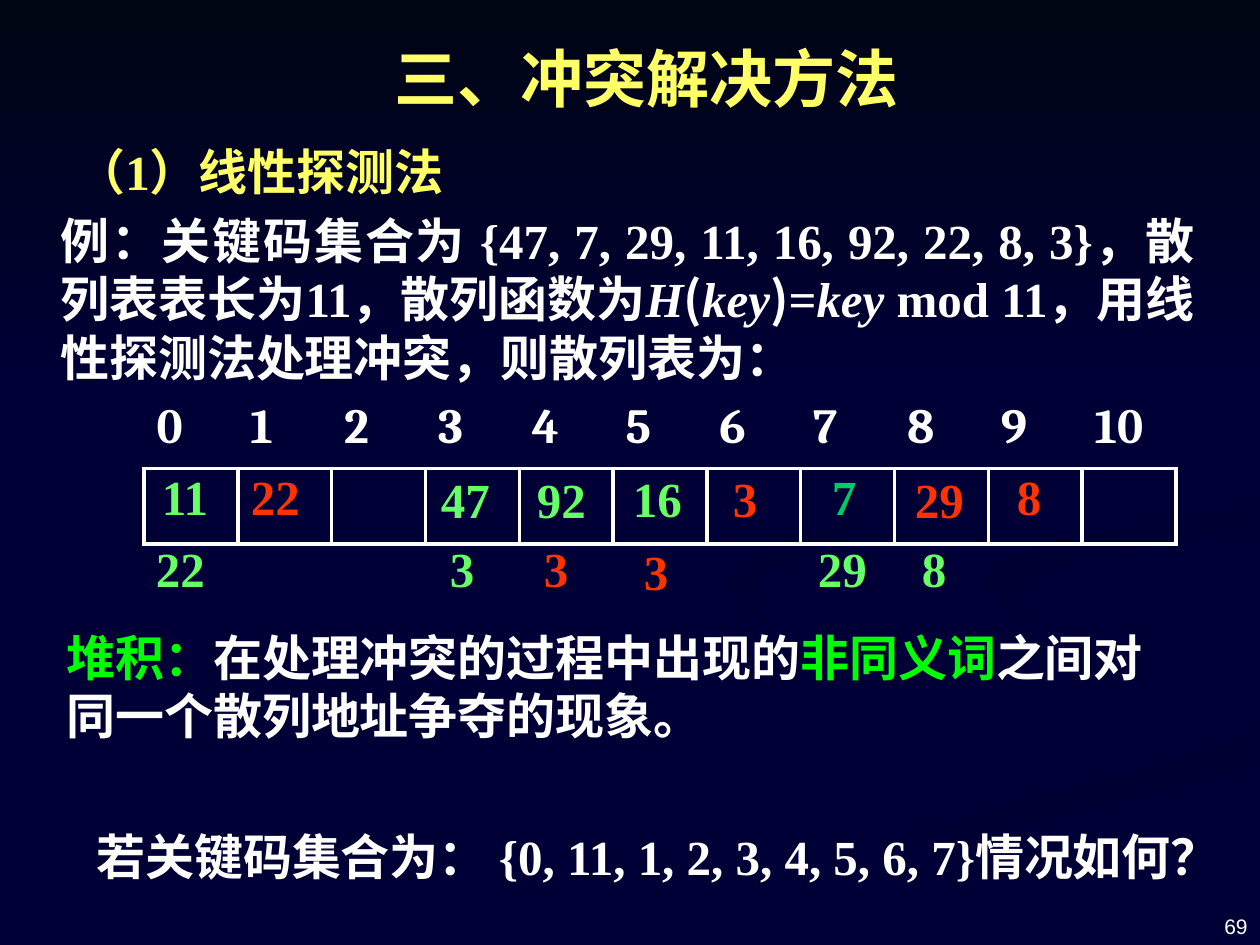
from pptx import Presentation
from pptx.dml.color import RGBColor as RGB
from pptx.enum.shapes import MSO_SHAPE as SHAPE
from pptx.enum.text import MSO_ANCHOR as ANCHOR, PP_ALIGN as ALIGN
from pptx.oxml.ns import qn
from pptx.util import Emu, Pt
from lxml.etree import SubElement

PX = 914400 // 126
SERIF, SANS, CJK = "Times New Roman", "Arial", "Noto Sans CJK SC"
C = dict(bg="000036", dark="000514", wave="000032", wave_low="000034",
         wave_mid="000033", white="FFFFFF", yellow="FFFF66", green="66FF66",
         teal="00CC66", red="FF3300", lime="00FF00")
NO_STYLE = "{2D5ABB26-0587-4C30-8999-92F81FD0307C}"

# Outline points, start colour, end colour, clockwise angle
WAVES = [
    ([(984, 697), (901, 665), (809, 639), (748, 611), (725, 587), (725, 578),
      (718, 592), (738, 614), (795, 636), (900, 668), (978, 697), (990, 713),
      (966, 740), (881, 767), (730, 805), (577, 849), (474, 891), (378, 944),
      (455, 944), (587, 882), (748, 827), (908, 785), (990, 757), (1008, 732),
      (998, 707)], "bg", "wave_low", 0),
    ([(1188, 718), (1158, 689), (1071, 660), (975, 634), (924, 609),
      (912, 585), (924, 615), (965, 645), (1056, 675), (1134, 702),
      (1157, 732), (1126, 762), (1166, 747), (1186, 732)],
     "bg", "wave_low", 45),
    ([(634, 944), (719, 944), (774, 915), (876, 872), (1034, 820),
      (1257, 767), (1257, 732), (1179, 759), (1047, 793), (877, 843),
      (755, 890), (654, 941)], "wave", "bg", 90),
    ([(984, 580), (997, 602), (1041, 625), (1014, 600), (1028, 578),
      (1082, 558), (1179, 541), (1257, 529), (1257, 507), (1131, 527),
      (1052, 542), (997, 563)], "wave_mid", "bg", 45),
    ([(861, 542), (963, 525), (1060, 499), (1113, 466), (1126, 433),
      (1109, 387), (1062, 347), (960, 294), (1041, 335), (1104, 386),
      (1120, 422), (1096, 460), (1031, 486), (852, 522), (762, 546),
      (727, 582), (751, 615), (784, 630), (748, 599), (764, 570)],
     "wave", "bg", 45),
]

# Text, left and top relative to the table, colour
KEYS = [
    ("11", 18, 74, "green"), ("22", 107, 74, "red"), ("47", 297, 77, "green"),
    ("92", 393, 77, "green"), ("16", 489, 76, "green"), ("3", 589, 76, "red"),
    ("7", 688, 74, "teal"), ("29", 771, 77, "red"), ("8", 873, 74, "red"),
    ("22", 12, 146, "green"), ("3", 306, 146, "green"), ("3", 400, 146, "red"),
    ("3", 500, 149, "red"), ("29", 674, 146, "green"), ("8", 778, 146, "green"),
]


def px(*values):
    """Turn pixels into EMU."""
    return [Emu(round(v * PX)) for v in values]


def add_run(p, text, size=28, color="white", font=SERIF, bold=True, italic=False):
    """Add one formatted run to a paragraph."""
    r = p.add_run()
    r.text = text
    r.font.size, r.font.name = Pt(size), font
    r.font.bold, r.font.italic = bold, italic
    r.font.color.rgb = RGB.from_string(C[color])
    SubElement(r.font._element, qn("a:ea")).set("typeface", CJK)


def add_text(s, box, runs, align=ALIGN.LEFT, anchor=ANCHOR.TOP, wrap=True,
             inset=True, spacing=None, **fmt):
    """Add a text box; runs is a string or a list of (text, format) pairs."""
    tf = s.shapes.add_textbox(*px(*box)).text_frame
    tf.word_wrap, tf.vertical_anchor = wrap, anchor
    if not inset:
        tf.margin_left = tf.margin_right = tf.margin_top = tf.margin_bottom = 0
    p = tf.paragraphs[0]
    p.alignment, p.line_spacing = align, spacing
    for text, own in [(runs, {})] if isinstance(runs, str) else runs:
        add_run(p, text, **{**fmt, **own})


def paint(sp, start, end, angle):
    """Give a shape a plain two-colour gradient."""
    sp.shadow.inherit = False
    sp.line.fill.background()
    sp.fill.gradient()
    sp.fill.gradient_angle = -angle % 360
    for stop, color in zip(sp.fill.gradient_stops, (start, end)):
        stop.color.rgb = RGB.from_string(C[color])


def draw_background(s, w, h):
    """Fill the slide, with faint waves and a dark upper band."""
    s.background.fill.solid()
    s.background.fill.fore_color.rgb = RGB.from_string(C["bg"])
    for points, *colors in WAVES:
        builder = s.shapes.build_freeform(*points[0], scale=PX)
        builder.add_line_segments(points[1:], close=True)
        paint(builder.convert_to_shape(), *colors)
    band = s.shapes.add_shape(SHAPE.RECTANGLE, *px(0, 0, w, h))
    paint(band, "dark", "bg", 90)


def add_border(cell, sides):
    """Draw white lines on the given sides of a cell."""
    pr = cell._tc.get_or_add_tcPr()
    for i, side in enumerate(sides):
        ln = pr.makeelement(qn(f"a:ln{side}"), {"w": str(Pt(2.25))})
        SubElement(SubElement(ln, qn("a:solidFill")), qn("a:srgbClr")).set("val", C["white"])
        pr.insert(i, ln)


def draw_hash_table(s, x, y, w, h, slots=11):
    """Place the slot numbers, the table cells and the keys on them."""
    table = s.shapes.add_table(2, slots, *px(x, y, w, h)).table
    table.first_row = table.horz_banding = False
    table._tbl.tblPr.find(qn("a:tableStyleId")).text = NO_STYLE
    for i, col in enumerate(table.columns):
        col.width = px(w / slots)[0]
        number, slot = table.cell(0, i), table.cell(1, i)
        add_run(number.text_frame.paragraphs[0], str(i), font="Cambria")
        for cell, sides in ((number, "B"), (slot, "LRTB")):
            cell.fill.background()
            add_border(cell, sides)
    for text, dx, dy, color in KEYS:
        add_text(s, (x + dx, y + dy, 32 * len(text), 59), text,
                 inset=False, color=color)


def draw_heading(s, x, y):
    """Place the title and the method name."""
    add_text(s, (x + 318, y, 529, 96), "三、冲突解决方法", wrap=False,
             spacing=1.1, size=36, color="yellow")
    add_text(s, (x, y + 109, 735, 72), "（1）线性探测法", color="yellow")


def draw_example(s, x, y, w):
    """Place the worked example."""
    italic, cjk = dict(italic=True), dict(font=CJK)
    add_text(s, (x, y, w, 189), [
        ("例：关键码集合为 {47, 7, 29, 11, 16, 92, 22, 8, 3}，散列表表长为11，散列函", {}),
        ("数为", cjk), ("H", italic), ("(", cjk), ("key", italic), (")", cjk),
        ("=", {}), ("key", italic), (" mod 11", {}),
        ("，用线性探测法处理冲突，则散列表为：", cjk)], align=ALIGN.JUSTIFY)


def draw_remarks(s, x, y):
    """Place the definition and the closing question."""
    lime = dict(color="lime")
    add_text(s, (x, y, 1142, 130), [
        ("堆积：", lime), ("在处理冲突的过程中出现的", {}), ("非同义词", lime),
        ("之间对同一个散列地址争夺的现象。", {})])
    add_text(s, (x + 30, y + 199, 1176, 72),
             "若关键码集合为： {0, 11, 1, 2, 3, 4, 5, 6, 7}情况如何？")


def build():
    """Build the slide and save it."""
    prs = Presentation()
    prs.slide_width, prs.slide_height = px(1260, 945)
    s = prs.slides.add_slide(prs.slide_layouts[6])
    draw_background(s, 1260, 388)
    add_text(s, (966, 879, 294, 66), "69", align=ALIGN.RIGHT,
             anchor=ANCHOR.BOTTOM, size=12, font=SANS, bold=False)
    draw_example(s, 48, 204, 1159)
    draw_heading(s, 64, 26)
    draw_remarks(s, 54, 621)
    draw_hash_table(s, 144, 393, 1032, 151)
    prs.save("out.pptx")


build()
